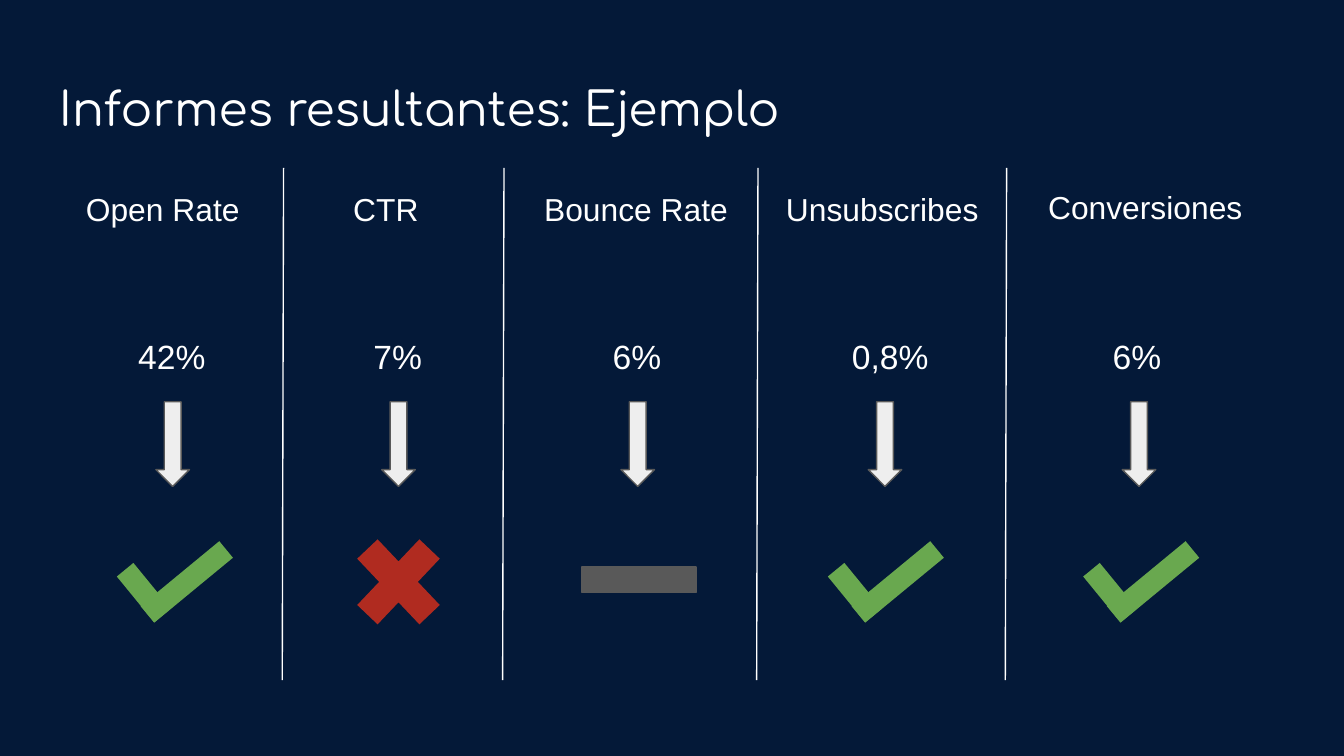
from lxml.etree import SubElement
from pptx import Presentation
from pptx.dml.color import RGBColor
from pptx.enum.shapes import MSO_CONNECTOR, MSO_SHAPE
from pptx.oxml.ns import qn
from pptx.util import Inches, Pt

WHITE, NAVY, PALE = "FFFFFF", "041938", "EEEEEE"
GREY, GREEN, RED = "595959", "69A84F", "B02B20"


def colour(value):
    return RGBColor.from_string(value)


class SlideBuilder:
    def __init__(self, slide, background):
        self.slide = slide
        self.shapes = slide.shapes
        slide.background.fill.solid()
        slide.background.fill.fore_color.rgb = colour(background)

    def text(self, words, left, top, width, height=0.46, size=17, font="Arial"):
        box = self.shapes.add_textbox(Inches(left), Inches(top), Inches(width), Inches(height))
        frame = box.text_frame
        frame.word_wrap = True
        frame.margin_left = frame.margin_right = Inches(0.1)
        frame.margin_top = frame.margin_bottom = Inches(0.1)
        span = frame.paragraphs[0].add_run()
        span.text = words
        span.font.size = Pt(size)
        span.font.name = font
        span.font.color.rgb = colour(WHITE)

    def divider(self, x, top=1.25, bottom=5.06, lean=0.01):
        line = self.shapes.add_connector(
            MSO_CONNECTOR.STRAIGHT, Inches(x), Inches(top), Inches(x - lean), Inches(bottom))
        line.line.color.rgb = colour(WHITE)
        line.line.width = Pt(0.75)
        SubElement(line._element.spPr, qn("a:effectLst"))

    def shape(self, kind, left, top, width, height, fill, outline=None, turn=0, parent=None):
        shape = (parent or self.slide).shapes.add_shape(
            kind, Inches(left), Inches(top), Inches(width), Inches(height))
        shape.shadow.inherit = False
        shape.rotation = turn
        shape.fill.solid()
        shape.fill.fore_color.rgb = colour(fill)
        if outline:
            shape.line.color.rgb = colour(outline)
            shape.line.width = Pt(0.75)
        else:
            shape.line.fill.background()
        return shape

    def arrow(self, left):
        self.shape(MSO_SHAPE.DOWN_ARROW, left, 2.99, 0.25, 0.63, PALE, GREY)

    def check(self, left):
        group = self.shapes.add_group_shape()
        self.shape(MSO_SHAPE.RECTANGLE, left, 4.33, 0.44, 0.16, GREEN, turn=50.7, parent=group)
        self.shape(MSO_SHAPE.RECTANGLE, left + 0.16, 4.25, 0.76, 0.16, GREEN, turn=320.5, parent=group)

    def cross(self, left):
        cross = self.shape(MSO_SHAPE.MATH_MULTIPLY, left, 3.86, 0.89, 0.94, RED)
        cross.adjustments[0] = 0.235

    def dash(self, left):
        self.shape(MSO_SHAPE.RECTANGLE, left, 4.22, 0.85, 0.19, GREY, GREY)


def main():
    deck = Presentation()
    deck.slide_width = Inches(10)
    deck.slide_height = deck.slide_width * 9 // 16
    builder = SlideBuilder(deck.slides.add_slide(deck.slide_layouts[6]), NAVY)

    # Title
    builder.text("Informes resultantes: Ejemplo", 0.34, 0.49, 9.32, 0.63, 25.2, "Comfortaa")

    # Column dividers
    for x in (2.11, 3.75, 5.64, 7.49):
        builder.divider(x)

    # Metrics: (label, left, top, width), (value, left, width), arrow left, verdict, verdict left
    metrics = [
        (("Open Rate", 0.54, 1.31, 1.42), ("42%", 0.93, 0.74), 1.16, builder.check, 0.85),
        (("CTR", 2.53, 1.31, 0.89), ("7%", 2.68, 0.61), 2.84, builder.cross, 2.52),
        (("Bounce Rate", 3.95, 1.31, 1.61), ("6%", 4.46, 0.66), 4.62, builder.dash, 4.33),
        (("Unsubscribes", 5.75, 1.31, 1.67), ("0,8%", 6.24, 0.79), 6.46, builder.check, 6.14),
        (("Conversiones", 7.7, 1.3, 1.67), ("6%", 8.18, 0.61), 8.35, builder.check, 8.04),
    ]
    for label, (value, value_left, value_width), arrow_left, verdict, verdict_left in metrics:
        builder.text(*label)
        builder.text(value, value_left, 2.4, value_width, size=18)
        builder.arrow(arrow_left)
        verdict(verdict_left)

    deck.save("out.pptx")


if __name__ == "__main__":
    main()
